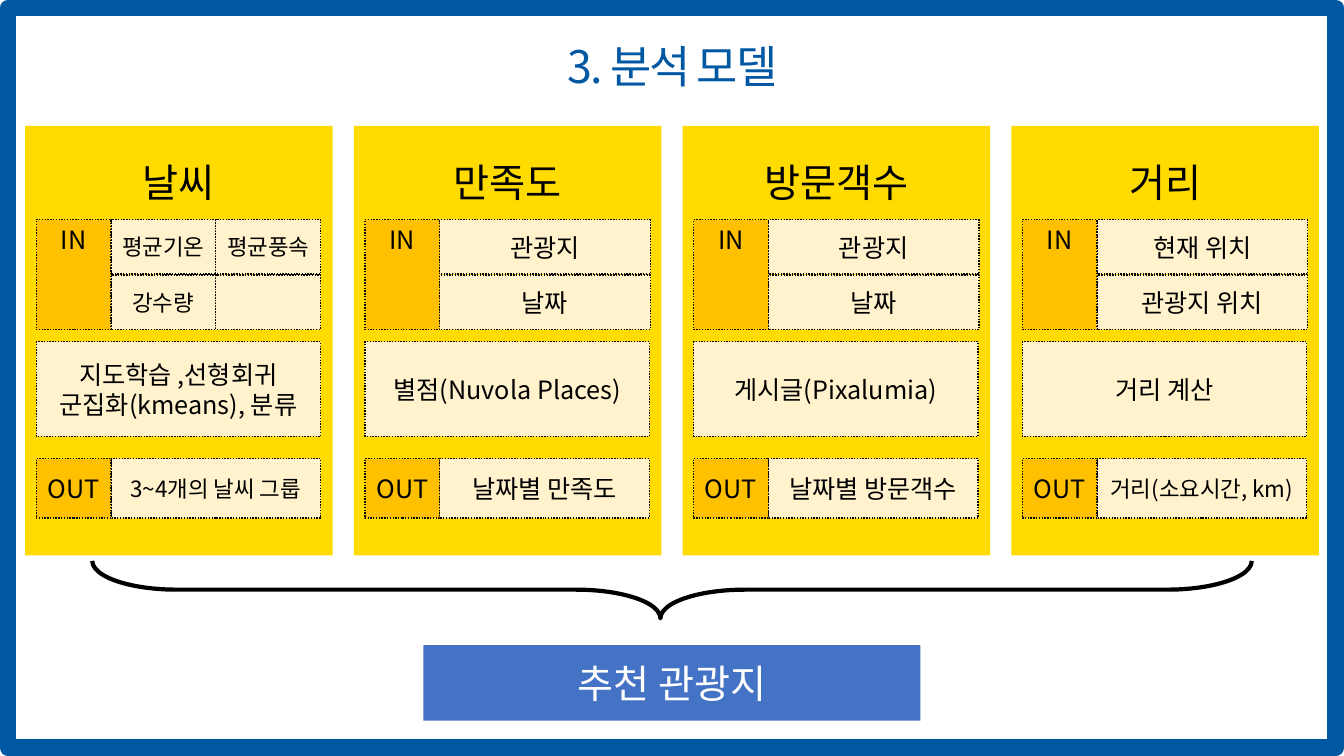
from lxml.etree import SubElement
from pptx import Presentation
from pptx.dml.color import RGBColor
from pptx.enum.dml import MSO_LINE
from pptx.enum.shapes import MSO_SHAPE
from pptx.enum.text import MSO_ANCHOR, MSO_AUTO_SIZE, PP_ALIGN
from pptx.oxml.ns import qn
from pptx.util import Emu, Pt

PX = 9144  # 100 px to the inch
FONT = "Noto Sans CJK KR"
BLUE = RGBColor(0x00, 0x58, 0xA3)
RESULT_BLUE = RGBColor(0x44, 0x72, 0xC4)
YELLOW = RGBColor(0xFF, 0xDB, 0x00)
CREAM = RGBColor(0xFF, 0xF2, 0xCC)
AMBER = RGBColor(0xFF, 0xC0, 0x00)
BLACK = RGBColor(0, 0, 0)
WHITE = RGBColor(255, 255, 255)

PANEL_LEFT, PANEL_PITCH = 25, 326
# heading, input rows, input size, method lines, output, output size
MODELS = [
    ("날씨", [["평균기온", "평균풍속"], ["강수량", ""]], 16,
     ["지도학습 ,선형회귀", "군집화(kmeans), 분류"], "3~4개의 날씨 그룹", 16),
    ("만족도", [["관광지"], ["날짜"]], 18,
     ["별점(Nuvola Places)"], "날짜별 만족도", 18),
    ("방문객수", [["관광지"], ["날짜"]], 18,
     ["게시글(Pixalumia)"], "날짜별 방문객수", 18),
    ("거리", [["현재 위치"], ["관광지 위치"]], 18,
     ["거리 계산"], "거리(소요시간, km)", 16),
]


def px(*lengths):
    return [Emu(length * PX) for length in lengths]


def write(frame, lines, size, color, anchor=MSO_ANCHOR.MIDDLE):
    frame.word_wrap = True
    frame.auto_size = MSO_AUTO_SIZE.NONE
    frame.vertical_anchor = anchor
    for index, line in enumerate(lines):
        paragraph = frame.add_paragraph() if index else frame.paragraphs[0]
        paragraph.alignment = PP_ALIGN.CENTER
        run = paragraph.add_run()
        run.text = line
        run.font.size = Pt(size)
        run.font.name = FONT
        run.font.color.rgb = color
        SubElement(run.font._element, qn("a:ea"), typeface=FONT)


def add_block(slide, box, fill=None, kind=MSO_SHAPE.RECTANGLE):
    block = slide.shapes.add_shape(kind, *px(*box))
    block.shadow.inherit = False
    block.line.fill.background()
    if fill is None:
        block.fill.background()
    else:
        block.fill.solid()
        block.fill.fore_color.rgb = fill
    return block


def set_outline(block, color, width):
    block.line.color.rgb = color
    block.line.width = Pt(width)


def add_cell(slide, box, fill, lines, size=18, anchor=MSO_ANCHOR.MIDDLE):
    cell = add_block(slide, box, fill)
    set_outline(cell, BLACK, 1)
    cell.line.dash_style = MSO_LINE.ROUND_DOT
    if any(lines):
        write(cell.text_frame, lines, size, BLACK, anchor)


def add_model(slide, left, heading, inputs, input_size, method, output, output_size):
    add_block(slide, (left, 125, 305, 426), YELLOW)
    heading_box = slide.shapes.add_textbox(*px(left, 152, 305, 57))
    write(heading_box.text_frame, [heading], 28, BLACK)
    label_left, value_left = left + 11, left + 85

    # Method and output
    add_cell(slide, (label_left, 339, 282, 94), CREAM, method)
    add_cell(slide, (value_left, 455, 208, 59), CREAM, [output], output_size)
    add_cell(slide, (label_left, 455, 74, 59), AMBER, ["OUT"])

    # Input grid
    for row, names in enumerate(inputs):
        width = 209 // len(names)
        for column, name in enumerate(names):
            box = (value_left + column * width, 218 + row * 55, width, 54)
            add_cell(slide, box, CREAM, [name], input_size)
    add_cell(slide, (label_left, 218, 74, 109), AMBER, ["IN"], anchor=MSO_ANCHOR.TOP)


def add_title(slide, text):
    title = slide.shapes.title
    title.left, title.top, title.width, title.height = px(92, 39, 1150, 59)
    write(title.text_frame, [text], 32, BLUE)
    paragraph = title.text_frame.paragraphs[0]
    paragraph.line_spacing = 0.9
    paragraph.runs[0].font._element.set("spc", "-150")


def main():
    deck = Presentation()
    deck.slide_width, deck.slide_height = px(1333, 750)
    slide = deck.slides.add_slide(deck.slide_layouts[5])

    # Frame and title
    frame = add_block(slide, (8, 8, 1317, 734))
    set_outline(frame, BLUE, 12)
    add_title(slide, "3. 분석 모델")

    # Four analysis models
    for index, model in enumerate(MODELS):
        add_model(slide, PANEL_LEFT + index * PANEL_PITCH, *model)

    # Brace leading to the result
    brace = add_block(slide, (638, 10, 57, 1150), kind=MSO_SHAPE.RIGHT_BRACE)
    brace.rotation = 90
    brace.adjustments[0], brace.adjustments[1] = 1.47, 0.51
    set_outline(brace, BLACK, 3)
    result = add_block(slide, (420, 640, 493, 75), RESULT_BLUE)
    write(result.text_frame, ["추천 관광지"], 28, WHITE)

    deck.save("out.pptx")


if __name__ == "__main__":
    main()
